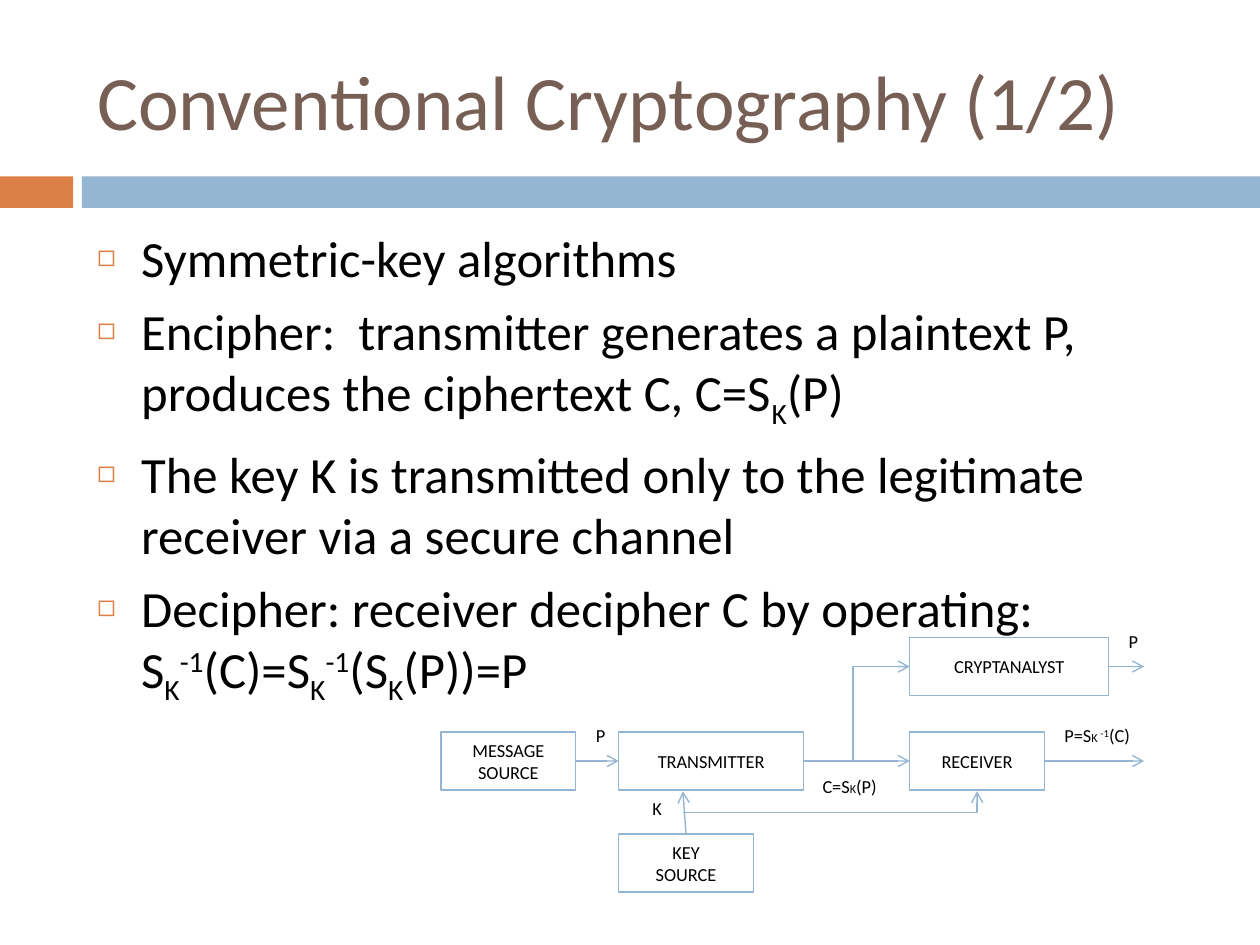
from lxml import etree
from pptx import Presentation
from pptx.dml.color import RGBColor
from pptx.enum import shapes, text
from pptx.oxml import ns
from pptx.util import Inches, Pt

BLUE = RGBColor(0x94, 0xB6, 0xD2)
ORANGE = RGBColor(0xDD, 0x80, 0x47)
BROWN = RGBColor(0x77, 0x5F, 0x55)
BLACK = RGBColor(0, 0, 0)
FONT = "Calibri"
LABEL_SIZE, SMALL_SIZE = 10.5, 7
SUBSCRIPT, SUPERSCRIPT = -25, 30
ROW_TOP, BOX_HEIGHT, BOX_WIDTH = 5.81, 0.46, 1.07

# Each run is (text, baseline shift in percent)
K, INVERSE = ("K", SUBSCRIPT), ("-1", SUPERSCRIPT)
BULLETS = [
    [("Symmetric-key algorithms", 0)],
    [("Encipher:  transmitter generates a plaintext P, "
      "produces the ciphertext C, C=S", 0), K, ("(P)", 0)],
    [("The key K is transmitted only to the legitimate "
      "receiver via a secure channel", 0)],
    [("Decipher: receiver decipher C by operating:", 0), None, ("S", 0),
     K, INVERSE, ("(C)=S", 0), K, INVERSE, ("(S", 0), K, ("(P))=P", 0)],
]


def add_run(paragraph, content, size, color=BLACK, baseline=0):
    run = paragraph.add_run()
    run.text = content
    run.font.name = FONT
    run.font.size = Pt(size)
    run.font.color.rgb = color
    if baseline:
        run._r.get_or_add_rPr().set("baseline", str(baseline * 1000))


def place(shape, box):
    shape.left, shape.top, shape.width, shape.height = map(Inches, box)


def add_rectangle(slide, box):
    shape = slide.shapes.add_shape(
        shapes.MSO_SHAPE.RECTANGLE, *map(Inches, box))
    shape.shadow.inherit = False
    return shape


def add_band(slide, left, top, width, height):
    """Orange tab and blue bar under the title, with a small gap."""
    tab, bar_left = 0.58, 0.65
    for start, end, color in ((left, left + tab, ORANGE),
                              (left + bar_left, left + width, BLUE)):
        shape = add_rectangle(slide, (start, top, end - start, height))
        shape.fill.solid()
        shape.fill.fore_color.rgb = color
        shape.line.fill.background()


def fill_title(slide, box):
    title = slide.shapes.title
    place(title, box)
    frame = title.text_frame
    frame.vertical_anchor = text.MSO_ANCHOR.MIDDLE
    frame.auto_size = text.MSO_AUTO_SIZE.NONE
    paragraph = frame.paragraphs[0]
    paragraph.alignment = text.PP_ALIGN.LEFT
    add_run(paragraph, "Conventional Cryptography (1/2)", 44, BROWN)


def add_bullet(paragraph):
    properties = paragraph._p.get_or_add_pPr()
    properties.set("marL", str(Inches(0.35)))
    properties.set("indent", str(-Inches(0.35)))
    color = etree.SubElement(properties, ns.qn("a:buClr"))
    etree.SubElement(color, ns.qn("a:srgbClr"), val=str(ORANGE))
    etree.SubElement(properties, ns.qn("a:buSzPct"), val="60000")
    etree.SubElement(properties, ns.qn("a:buChar"), char="◻")


def fill_body(slide, box):
    body = slide.placeholders[1]
    place(body, box)
    frame = body.text_frame
    frame.auto_size = text.MSO_AUTO_SIZE.NONE
    for index, runs in enumerate(BULLETS):
        paragraph = frame.add_paragraph() if index else frame.paragraphs[0]
        add_bullet(paragraph)
        paragraph.space_before = Pt(7 if index else 0)
        for run in runs:
            if run is None:
                paragraph.add_line_break()
            else:
                add_run(paragraph, run[0], 29, baseline=run[1])


def add_node(slide, lines, left, top, width=BOX_WIDTH):
    shape = add_rectangle(slide, (left, top, width, BOX_HEIGHT))
    shape.fill.background()
    shape.line.color.rgb = BLUE
    shape.line.width = Pt(0.75)
    frame = shape.text_frame
    frame.vertical_anchor = text.MSO_ANCHOR.MIDDLE
    for index, line in enumerate(lines):
        paragraph = frame.add_paragraph() if index else frame.paragraphs[0]
        paragraph.alignment = text.PP_ALIGN.CENTER
        add_run(paragraph, line, LABEL_SIZE)
    return shape


def add_arrow(slide, start, end, arrow_end="a:tailEnd", bent=False):
    """Arrow between two points; a bent one runs sideways, then up or down."""
    kind = shapes.MSO_CONNECTOR.ELBOW if bent else shapes.MSO_CONNECTOR.STRAIGHT
    arrow = slide.shapes.add_connector(kind, *map(Inches, start + end))
    arrow.line.color.rgb = BLUE
    arrow.line.width = Pt(0.79)
    properties = arrow._element.spPr
    if bent:
        properties.find(ns.qn("a:prstGeom")).set("prst", "bentConnector2")
    etree.SubElement(properties.find(ns.qn("a:ln")),
                     ns.qn(arrow_end), type="arrow")
    etree.SubElement(properties, ns.qn("a:effectLst"))
    return arrow


def add_label(slide, runs, left, top, width=0.25):
    """Small caption; each run is (text, size, baseline)."""
    shape = slide.shapes.add_textbox(*map(Inches, (left, top, width, 0.2)))
    frame = shape.text_frame
    frame.word_wrap = True
    frame.auto_size = text.MSO_AUTO_SIZE.SHAPE_TO_FIT_TEXT
    for content, size, baseline in runs:
        add_run(frame.paragraphs[0], content, size, baseline=baseline)


def add_diagram(slide, left, top):
    """Cipher channel; left and top are those of its outer box."""
    row = top + 0.75
    middle = row + BOX_HEIGHT / 2
    transmitter_left, receiver_left = left + 1.41, left + 3.72
    exit_x = left + 5.58

    # Nodes
    transmitter = add_node(slide, ["TRANSMITTER"], transmitter_left, row, 1.47)
    message = add_node(slide, ["MESSAGE", "SOURCE"], left, row)
    key = add_node(slide, ["KEY", "SOURCE"], transmitter_left, row + 0.81)
    receiver = add_node(slide, ["RECEIVER"], receiver_left, row)
    analyst = add_node(slide, ["CRYPTANALYST"], receiver_left, top, 1.58)

    # Straight arrows between nodes
    for source, target in ((message, transmitter), (transmitter, receiver)):
        arrow = add_arrow(slide, (left, middle), (receiver_left, middle))
        arrow.begin_connect(source, 3)
        arrow.end_connect(target, 1)

    # Arrows leaving the diagram
    for source, y in ((receiver, middle), (analyst, top + BOX_HEIGHT / 2)):
        arrow = add_arrow(slide, (receiver_left, y), (exit_x, y))
        arrow.begin_connect(source, 3)

    # Key distribution
    key_x, row_bottom = left + 1.92, row + BOX_HEIGHT + 0.01
    arrow = add_arrow(slide, (key_x, row + 0.81), (key_x, row_bottom))
    arrow.begin_connect(key, 0)
    add_arrow(slide, (key_x, row_bottom + 0.17),
              (receiver_left + BOX_WIDTH / 2, row_bottom), bent=True)

    # Tap from the channel to the cryptanalyst
    add_arrow(slide, (receiver_left, top + BOX_HEIGHT / 2),
              (receiver_left - 0.45, middle), "a:headEnd", bent=True)

    # Captions
    plain = [("P", LABEL_SIZE, 0)]
    add_label(slide, plain, left + 1.13, row - 0.11)
    add_label(slide, [("K", LABEL_SIZE, 0)], left + 1.58, row + 0.47)
    add_label(slide, [("C=S", LABEL_SIZE, 0), ("K", SMALL_SIZE, 0),
                      ("(P)", LABEL_SIZE, 0)], left + 2.93, row + 0.29, 0.73)
    add_label(slide, [("P=S", LABEL_SIZE, 0), ("K ", SMALL_SIZE, 0),
                      ("-1", LABEL_SIZE, SUPERSCRIPT),
                      ("(C)", LABEL_SIZE, 0)], left + 4.85, row - 0.11, 0.9)
    add_label(slide, plain, left + 5.36, top - 0.11)


def main():
    presentation = Presentation()
    presentation.slide_width = Inches(10)
    presentation.slide_height = Inches(7.5)
    slide = presentation.slides.add_slide(presentation.slide_layouts[1])
    add_band(slide, 0, 1.4, 10, 0.25)
    fill_title(slide, (0.67, 0.25, 8.92, 1.08))
    fill_body(slide, (0.67, 1.75, 8.92, 4.92))
    add_diagram(slide, 3.5, ROW_TOP - 0.75)
    presentation.save("out.pptx")


if __name__ == "__main__":
    main()
